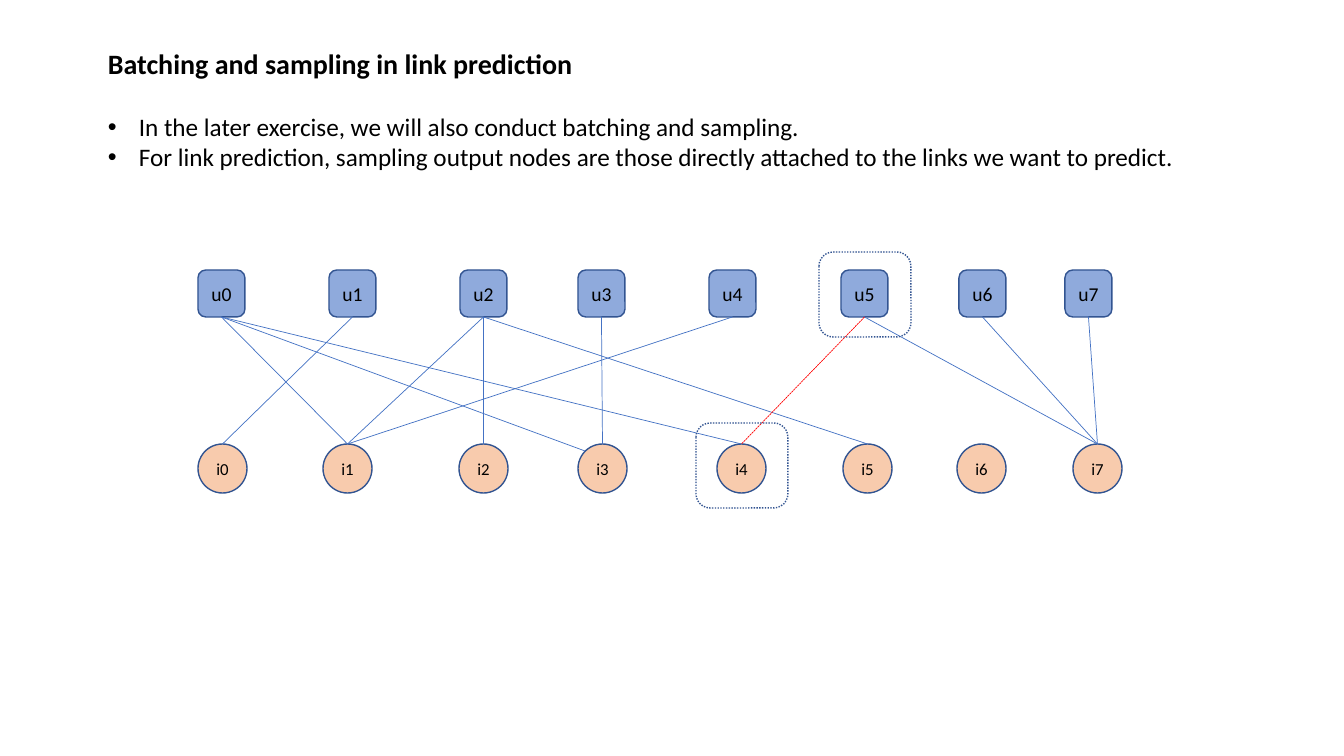
from dataclasses import dataclass

from lxml import etree
from pptx import Presentation, util as u
from pptx.dml.color import RGBColor
from pptx.enum import dml, shapes, text
from pptx.oxml.ns import qn

PX = 914400 / 100.8


def px(n: float) -> u.Emu:
    return u.Emu(round(n * PX))


@dataclass(frozen=True)
class Theme:
    font: str = "Calibri"
    ink: str = "000000"
    user: str = "8FAADC"
    item: str = "F8CBAD"
    outline: str = "325491"
    link: str = "4472C4"
    target: str = "FF0000"
    title: int = 20
    body: int = 18
    user_label: int = 14
    item_label: int = 12


@dataclass(frozen=True)
class NodeRow:
    prefix: str
    kind: shapes.MSO_SHAPE
    top: int
    size: int
    fill: str
    label_size: int
    lefts: tuple[int, ...]


@dataclass(frozen=True)
class Link:
    user: int
    item: int
    predicted: bool = False
    site: int = 0  # 0 = top of the item, 1 = its upper left


@dataclass(frozen=True)
class Frame:
    left: int
    top: int
    width: int = 92
    height: int = 85


T = Theme()
TITLE = "Batching and sampling in link prediction"
BULLETS = (
    "In the later exercise, we will also conduct batching and sampling.",
    "For link prediction, sampling output nodes are those directly attached "
    "to the links we want to predict.",
)
USERS = NodeRow("u", shapes.MSO_SHAPE.ROUNDED_RECTANGLE, 270, 47, T.user,
                T.user_label, (198, 329, 460, 578, 709, 841, 959, 1065))
ITEMS = NodeRow("i", shapes.MSO_SHAPE.OVAL, 444, 49, T.item,
                T.item_label, (198, 323, 459, 578, 717, 843, 957, 1073))
LINKS = (
    Link(0, 1), Link(0, 3, site=1), Link(1, 0), Link(2, 2), Link(2, 1),
    Link(2, 5), Link(4, 1), Link(3, 3), Link(5, 7), Link(6, 7), Link(7, 7),
    Link(0, 4), Link(5, 4, predicted=True),
)
FRAMES = (Frame(819, 252), Frame(696, 423))


def set_font(p, size: int, bold: bool = False) -> None:
    f = p.font
    f.name, f.size, f.bold = T.font, u.Pt(size), bold
    f.color.rgb = RGBColor.from_string(T.ink)


def set_line(line, color: str, width: float, dash=None) -> None:
    line.color.rgb = RGBColor.from_string(color)
    line.width = u.Pt(width)
    if dash is not None:
        line.dash_style = dash


def add_bullet(p, indent: int) -> None:
    pPr = p._p.get_or_add_pPr()
    pPr.set("marL", str(px(indent)))
    pPr.set("indent", str(-px(indent)))
    font = etree.Element(qn("a:buFont"), typeface="Arial")
    char = etree.Element(qn("a:buChar"), char="•")
    at = 0 if pPr.find(qn("a:spcBef")) is None else 1
    pPr.insert(at, font)
    pPr.insert(at + 1, char)


def add_copy(s) -> None:
    tf = s.shapes.add_textbox(px(98), px(42), px(1215), px(136)).text_frame
    tf.word_wrap = True
    p = tf.paragraphs[0]
    p.text = TITLE
    set_font(p, T.title, bold=True)
    for n, line in enumerate(BULLETS):
        p = tf.add_paragraph()
        p.text = line
        set_font(p, T.body)
        if n == 0:
            p.space_before = u.Pt(22)
        add_bullet(p, 31)


def add_row(s, row: NodeRow) -> list:
    nodes = []
    for n, left in enumerate(row.lefts):
        sp = s.shapes.add_shape(row.kind, px(left), px(row.top),
                                px(row.size), px(row.size))
        sp.shadow.inherit = False
        sp.fill.solid()
        sp.fill.fore_color.rgb = RGBColor.from_string(row.fill)
        set_line(sp.line, T.outline, 1)
        tf = sp.text_frame
        tf.margin_left = tf.margin_right = tf.margin_top = tf.margin_bottom = 0
        tf.vertical_anchor = text.MSO_ANCHOR.MIDDLE
        p = tf.paragraphs[0]
        p.text = f"{row.prefix}{n}"
        p.alignment = text.PP_ALIGN.CENTER
        set_font(p, row.label_size)
        nodes.append(sp)
    return nodes


def add_link(s, link: Link, users: list, items: list) -> None:
    cx = s.shapes.add_connector(shapes.MSO_CONNECTOR.STRAIGHT, 0, 0, 0, 0)
    item = items[link.item]
    cx.begin_connect(users[link.user], 2)
    cx.end_connect(item, link.site)
    if link.site == 1:
        inset = px(7)
        cx.end_x, cx.end_y = item.left + inset, item.top + inset
    if link.predicted:
        set_line(cx.line, T.target, 0.5, dml.MSO_LINE.SQUARE_DOT)
        cx.line._ln.find(qn("a:prstDash")).set("val", "sysDash")
    else:
        set_line(cx.line, T.link, 0.5)
    etree.SubElement(cx._element.spPr, qn("a:effectLst"))


def add_frame(s, frame: Frame) -> None:
    sp = s.shapes.add_shape(shapes.MSO_SHAPE.ROUNDED_RECTANGLE, px(frame.left),
                            px(frame.top), px(frame.width), px(frame.height))
    sp.shadow.inherit = False
    sp.fill.background()
    set_line(sp.line, T.outline, 1, dml.MSO_LINE.ROUND_DOT)
    sp.line._ln.find(qn("a:prstDash")).set("val", "sysDot")


prs = Presentation()
prs.slide_width, prs.slide_height = px(1344), px(756)
s = prs.slides.add_slide(prs.slide_layouts[6])

# Title and bullets
add_copy(s)

# Bipartite graph of users and items
users, items = add_row(s, USERS), add_row(s, ITEMS)
for link in LINKS:
    add_link(s, link, users, items)

# Frames around the output nodes
for frame in FRAMES:
    add_frame(s, frame)

prs.save("out.pptx")
